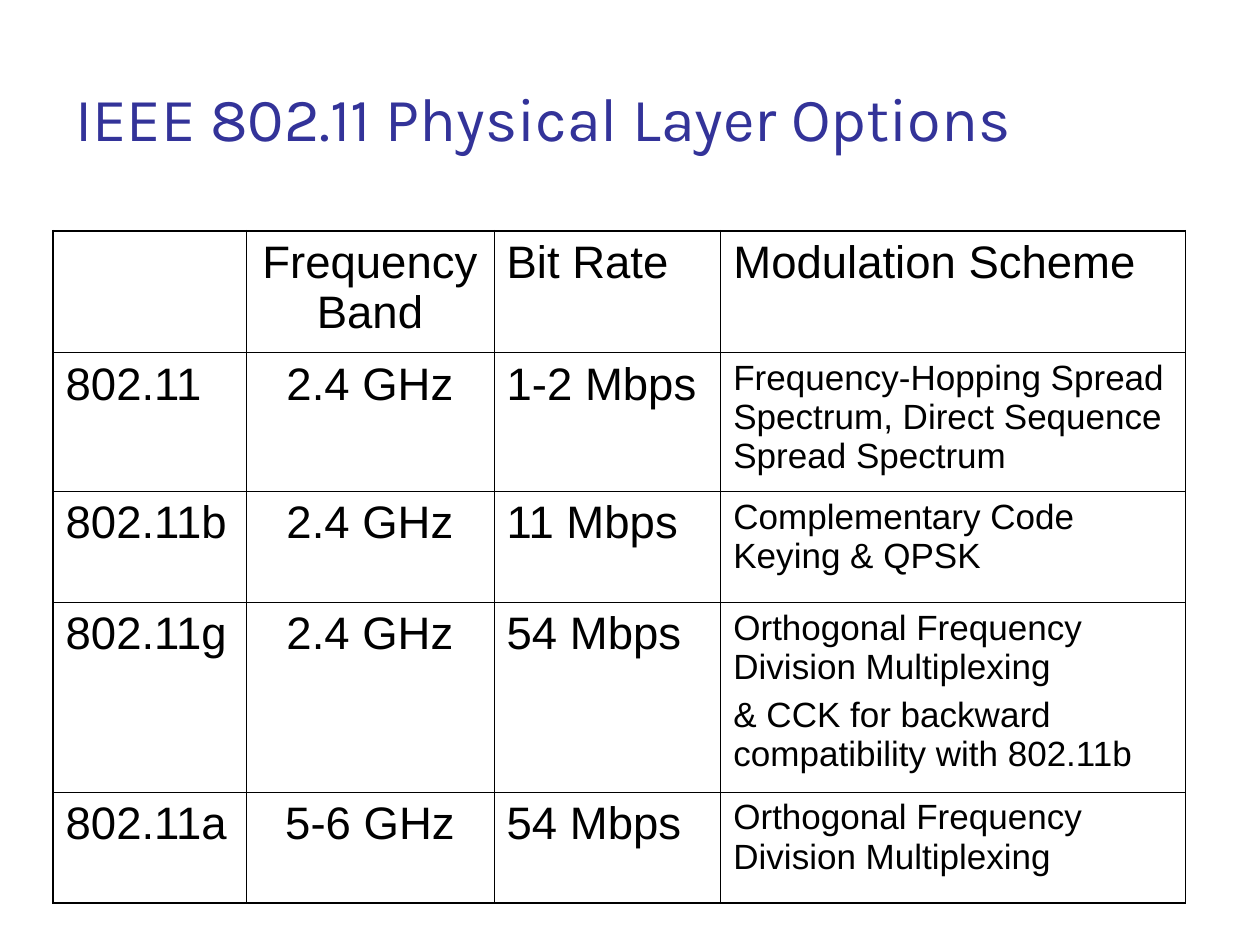
from dataclasses import dataclass

from lxml import etree
from pptx import Presentation
from pptx import util as u
from pptx.dml.color import RGBColor
from pptx.enum import text
from pptx.oxml import ns

TITLE_COLOUR = "333399"
INK = "000000"
INNER_LINE, OUTER_LINE = 0.45, 1.08
ROW_HEIGHTS = (2.46, 2.79, 2.24, 3.81, 2.24)


@dataclass(frozen=True)
class Column:
    width: float
    body_size: float = 26
    align: text.PP_ALIGN = text.PP_ALIGN.LEFT


COLUMNS = (
    Column(3.89),
    Column(5.0, align=text.PP_ALIGN.CENTER),
    Column(4.57),
    Column(9.37, body_size=20),
)
HEADER_SIZE = 26


@dataclass(frozen=True)
class Standard:
    name: str
    band: str
    bit_rate: str
    modulation: str

    def texts(self) -> tuple[str, ...]:
        return self.name, self.band, self.bit_rate, self.modulation


ROWS = (
    Standard("", "Frequency Band", "Bit Rate", "Modulation Scheme"),
    Standard("802.11", "2.4 GHz", "1-2 Mbps",
             "Frequency-Hopping Spread Spectrum, Direct Sequence Spread Spectrum"),
    Standard("802.11b", "2.4 GHz", "11 Mbps", "Complementary Code Keying & QPSK"),
    Standard("802.11g", "2.4 GHz", "54 Mbps",
             "Orthogonal Frequency Division Multiplexing\n"
             "& CCK for backward compatibility with 802.11b"),
    Standard("802.11a", "5-6 GHz", "54 Mbps",
             "Orthogonal Frequency Division Multiplexing"),
)


def set_font(paragraph, name: str, size: float, colour: str) -> None:
    font = paragraph.font
    font.name = name
    font.size = u.Pt(size)
    font.color.rgb = RGBColor.from_string(colour)


def set_borders(cell, row: int, column: int) -> None:
    """Draw thin inner lines and a heavier line on the table's outer edge."""
    properties = cell._tc.get_or_add_tcPr()
    on_edge = {
        "L": column == 0,
        "R": column == len(COLUMNS) - 1,
        "T": row == 0,
        "B": row == len(ROWS) - 1,
    }
    for side, outer in on_edge.items():
        width = u.Pt(OUTER_LINE if outer else INNER_LINE)
        line = etree.SubElement(properties, ns.qn(f"a:ln{side}"), w=str(width))
        fill = etree.SubElement(line, ns.qn("a:solidFill"))
        etree.SubElement(fill, ns.qn("a:srgbClr"), val=INK)


def fill_cell(cell, content: str, size: float, align: text.PP_ALIGN) -> None:
    cell.text = content
    cell.fill.background()
    for paragraph in cell.text_frame.paragraphs:
        paragraph.alignment = align
        paragraph.space_before = u.Pt(size / 4)
        set_font(paragraph, "Arial", size, INK)


def add_title(slide, content: str) -> None:
    box = slide.shapes.add_textbox(u.Cm(1.27), u.Cm(0.76), u.Cm(22.86), u.Cm(3.18))
    frame = box.text_frame
    frame.word_wrap = True
    frame.vertical_anchor = text.MSO_ANCHOR.MIDDLE
    frame.text = content
    set_font(frame.paragraphs[0], "Karla", 35, TITLE_COLOUR)


def add_options_table(slide) -> None:
    width = sum(column.width for column in COLUMNS)
    table = slide.shapes.add_table(
        len(ROWS), len(COLUMNS), u.Cm(1.07), u.Cm(4.65),
        u.Cm(width), u.Cm(sum(ROW_HEIGHTS))).table
    table.first_row = False
    table.horz_banding = False
    for table_column, column in zip(table.columns, COLUMNS):
        table_column.width = u.Cm(column.width)
    for row, (standard, height) in enumerate(zip(ROWS, ROW_HEIGHTS)):
        table.rows[row].height = u.Cm(height)
        for index, (content, column) in enumerate(zip(standard.texts(), COLUMNS)):
            cell = table.cell(row, index)
            set_borders(cell, row, index)
            size = HEADER_SIZE if row == 0 else column.body_size
            fill_cell(cell, content, size, column.align)


def main() -> None:
    presentation = Presentation()
    presentation.slide_width = u.Cm(25.4)
    presentation.slide_height = u.Cm(19.05)
    slide = presentation.slides.add_slide(presentation.slide_layouts[6])
    add_title(slide, "IEEE 802.11 Physical Layer Options")
    add_options_table(slide)
    presentation.save("out.pptx")


if __name__ == "__main__":
    main()
